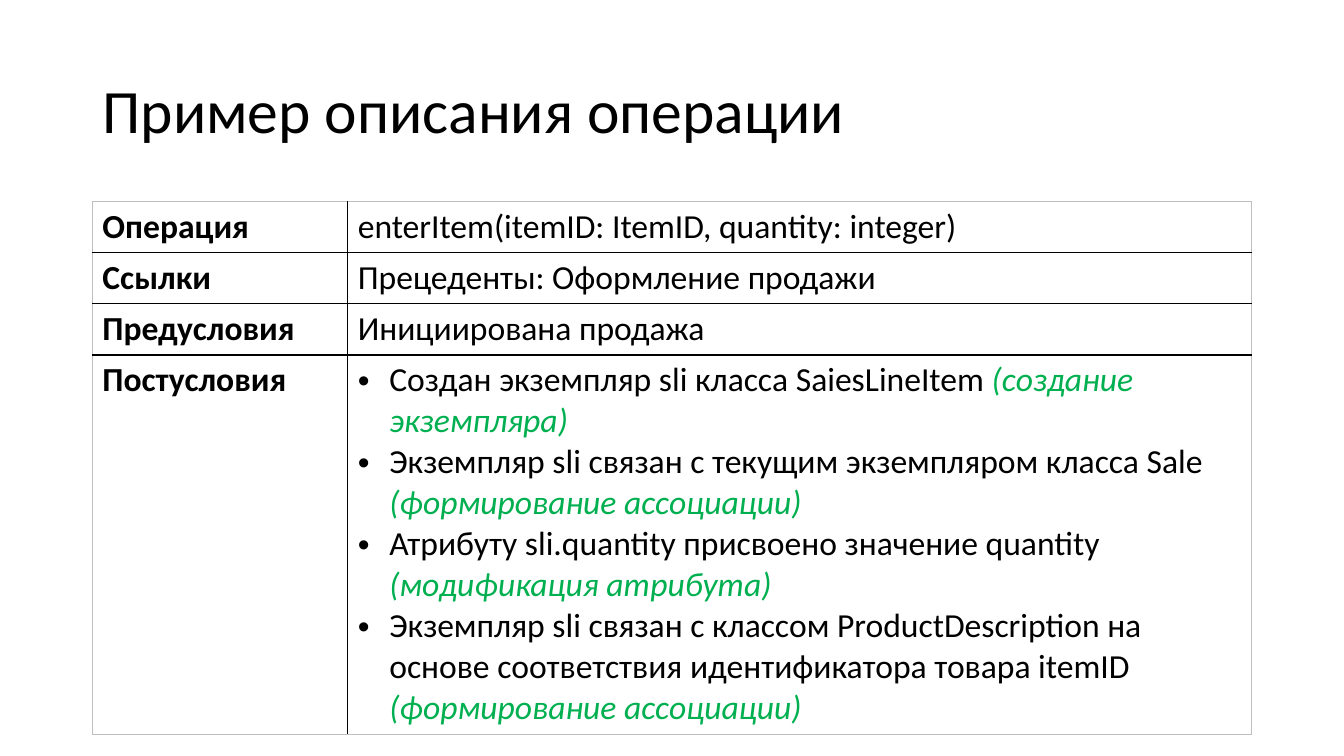
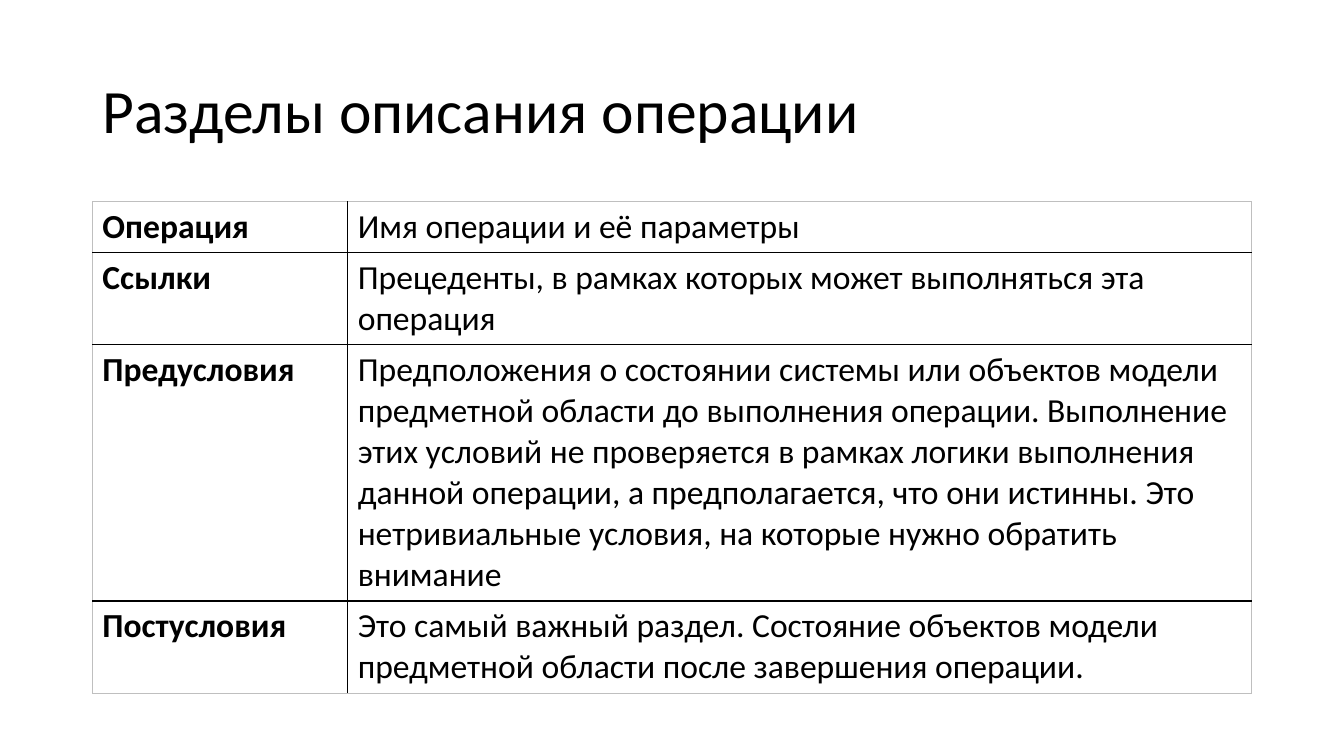
from lxml.etree import SubElement
from pptx import Presentation
from pptx.dml.color import RGBColor
from pptx.enum.text import MSO_ANCHOR, MSO_AUTO_SIZE, PP_ALIGN
from pptx.oxml.ns import qn
from pptx.util import Pt

COLORS = {"text": "000000", "note": "00B050", "grid": "000000", "frame": "BFBFBF"}
FONT = "Calibri"
TITLE_ONLY = 5

TITLE_BOX = (66, 28.75, 828, 104.4)
TABLE_BOX = (66, 144, 828)
LABEL_WIDTH = 182.4
LINE_HEIGHT, CELL_PADDING = 29.3, 7.2
BULLET_INDENT = 22.5

LABELS = ["Операция", "Ссылки", "Предусловия", "Постусловия"]

# Each row holds its number of text lines and its paragraphs.
# A paragraph is a plain string, or a bullet given as (statement, note).
SLIDES = [
    ("Пример описания операции", [
        (1, ["enterItem(itemID: ItemID, quantity: integer)"]),
        (1, ["Прецеденты: Оформление продажи"]),
        (1, ["Инициирована продажа"]),
        (9, [
            ("Создан экземпляр sli класса SaiesLineItem ", "(создание экземпляра)"),
            ("Экземпляр sli связан с текущим экземпляром класса Sale ",
             "(формирование ассоциации)"),
            ("Атрибуту sli.quantity присвоено значение quantity ",
             "(модификация атрибута)"),
            ("Экземпляр sli связан с классом ProductDescription на основе "
             "соответствия идентификатора товара itemID ",
             "(формирование ассоциации)"),
        ]),
    ]),
    ("Разделы описания операции", [
        (1, ["Имя операции и её параметры"]),
        (2, ["Прецеденты, в рамках которых может выполняться эта операция"]),
        (6, ["Предположения о состоянии системы или объектов модели предметной "
             "области до выполнения операции. Выполнение этих условий не "
             "проверяется в рамках логики выполнения данной операции, а "
             "предполагается, что они истинны. Это нетривиальные условия, на "
             "которые нужно обратить внимание"]),
        (2, ["Это самый важный раздел. Состояние объектов модели предметной "
             "области после завершения операции."]),
    ]),
]


def set_font(font, size, bold=False):
    font.name = FONT
    font.size = Pt(size)
    font.bold = bold
    font.color.rgb = RGBColor.from_string(COLORS["text"])


def add_title(slide, text, box):
    title = slide.shapes.title
    title.left, title.top, title.width, title.height = map(Pt, box)
    frame = title.text_frame
    frame.text = text
    frame.auto_size = MSO_AUTO_SIZE.NONE
    frame.vertical_anchor = MSO_ANCHOR.MIDDLE
    paragraph = frame.paragraphs[0]
    paragraph.alignment = PP_ALIGN.LEFT
    paragraph.line_spacing = 0.9
    set_font(paragraph.font, 44)


def set_bullet(paragraph):
    properties = paragraph._p.get_or_add_pPr()
    properties.set("marL", str(Pt(BULLET_INDENT)))
    properties.set("indent", str(-Pt(BULLET_INDENT)))
    SubElement(properties, qn("a:buFont"), typeface="Arial")
    SubElement(properties, qn("a:buChar"), char="•")


def set_borders(cell, outer_sides):
    """Draw the outer sides as a light frame and the others as dark grid lines."""
    properties = cell._tc.get_or_add_tcPr()
    for side in "LRTB":
        color, width = ("frame", 0.5) if side in outer_sides else ("grid", 1)
        line = SubElement(properties, qn(f"a:ln{side}"), w=str(Pt(width)))
        fill = SubElement(line, qn("a:solidFill"))
        SubElement(fill, qn("a:srgbClr"), val=COLORS[color])


def fill_cell(cell, content, outer_sides, bold=False):
    set_borders(cell, outer_sides)
    cell.fill.background()
    frame = cell.text_frame
    for index, item in enumerate(content):
        paragraph = frame.add_paragraph() if index else frame.paragraphs[0]
        if isinstance(item, str):
            paragraph.add_run().text = item
        else:
            statement, note = item
            set_bullet(paragraph)
            paragraph.add_run().text = statement
            note_run = paragraph.add_run()
            note_run.text = note
            note_run.font.italic = True
            note_run.font.color.rgb = RGBColor.from_string(COLORS["note"])
        set_font(paragraph.font, 24, bold)


def add_operation_table(slide, rows, box):
    left, top, width = box
    heights = [lines * LINE_HEIGHT + CELL_PADDING for lines, _ in rows]
    table = slide.shapes.add_table(
        len(rows), 2, Pt(left), Pt(top), Pt(width), Pt(sum(heights))).table
    table.first_row = table.horz_banding = False
    table.columns[0].width = Pt(LABEL_WIDTH)
    table.columns[1].width = Pt(width - LABEL_WIDTH)
    last = len(rows) - 1
    for index, (label, (_, content)) in enumerate(zip(LABELS, rows)):
        table.rows[index].height = Pt(heights[index])
        edges = ("T" if index == 0 else "") + ("B" if index == last else "")
        fill_cell(table.cell(index, 0), [label], edges + "L", bold=True)
        fill_cell(table.cell(index, 1), content, edges + "R")


def add_operation_slide(presentation, title, rows):
    slide = presentation.slides.add_slide(presentation.slide_layouts[TITLE_ONLY])
    add_title(slide, title, TITLE_BOX)
    add_operation_table(slide, rows, TABLE_BOX)


def main():
    presentation = Presentation()
    presentation.slide_width, presentation.slide_height = Pt(960), Pt(540)
    for title, rows in SLIDES:
        add_operation_slide(presentation, title, rows)
    presentation.save("out.pptx")


if __name__ == "__main__":
    main()
